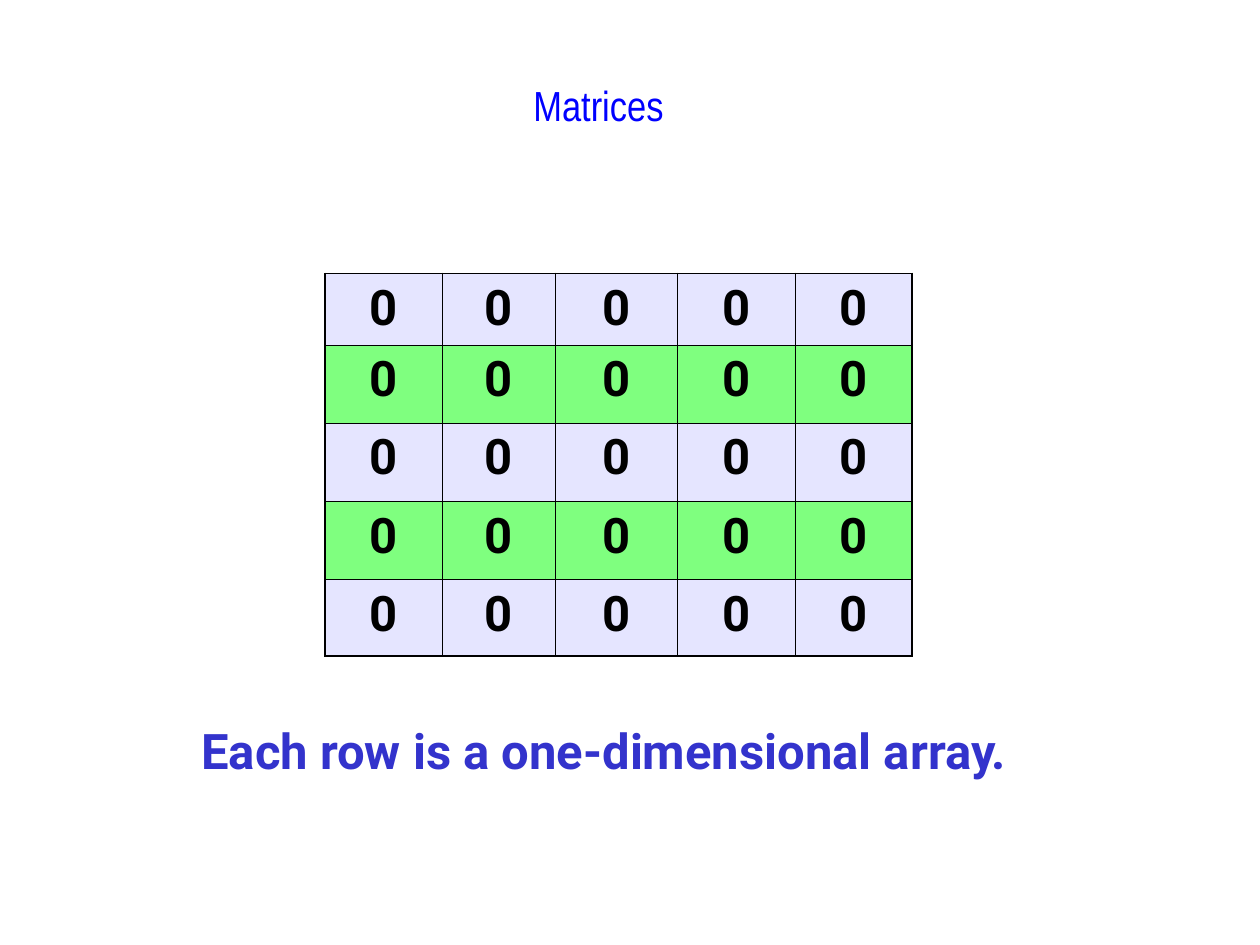
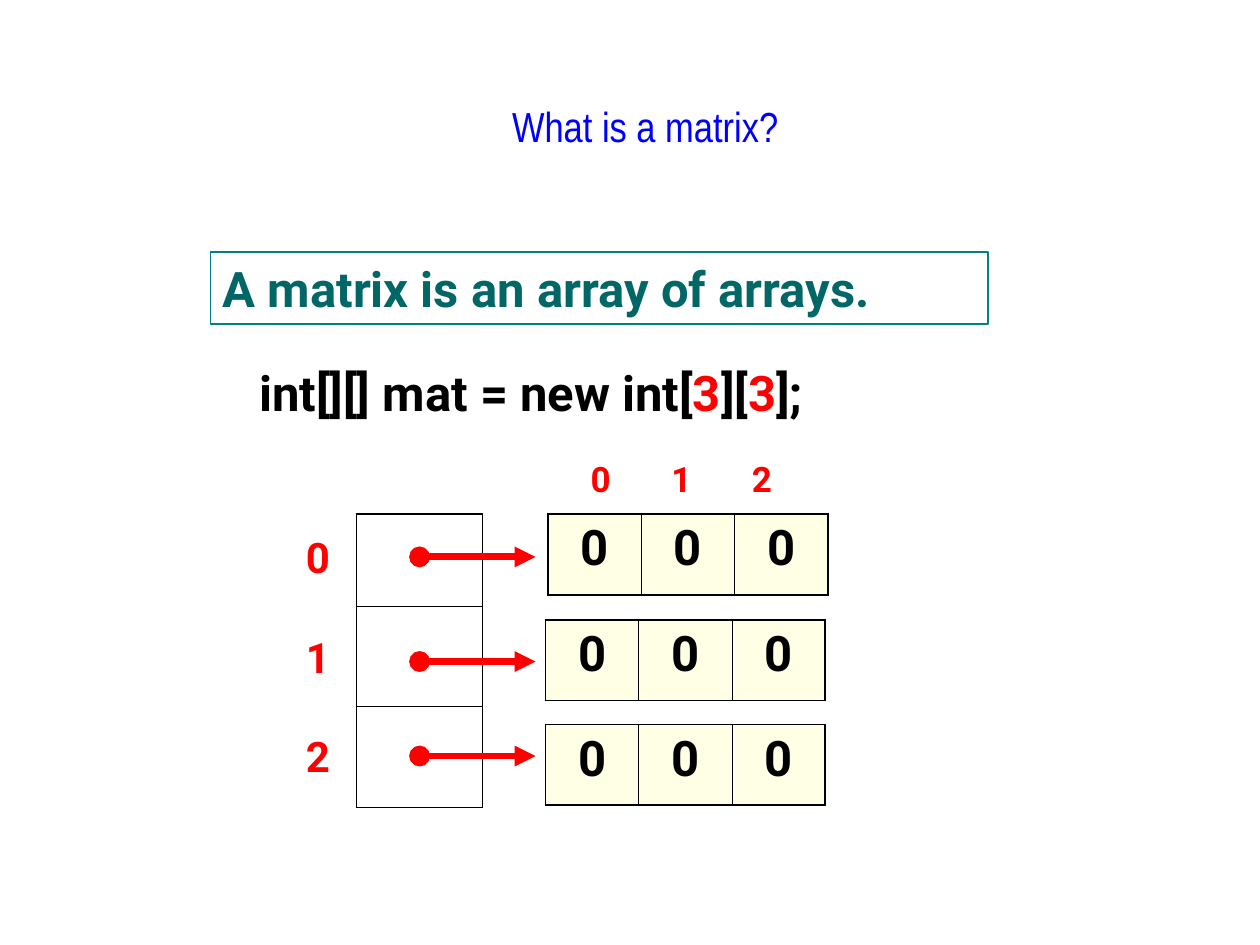
from dataclasses import dataclass

import pptx
import pptx.dml.color
import pptx.enum.shapes
import pptx.enum.text
import pptx.oxml
import pptx.oxml.ns
import pptx.presentation
import pptx.shapes.autoshape
import pptx.slide
import pptx.table
import pptx.util

Inches = pptx.util.Inches
Pt = pptx.util.Pt
ALIGN = pptx.enum.text.PP_ALIGN
A_NS = pptx.oxml.ns.nsdecls("a")

TITLE_FONT = "Arial Narrow"
BODY_FONT = "Roboto"
BLACK = "000000"
RED = "FF0000"
TITLE_BLUE = "0000FF"
NOTE_BLUE = "3333CC"
TEAL = "008080"
DARK_TEAL = "006666"
LAVENDER = "CCCCFF"
GREEN = "00FF00"
CREAM = "FFFFCC"

OUTER_BORDER = 1.08
INNER_BORDER = 0.45


@dataclass(frozen=True)
class Words:
    text: str
    color: str = BLACK
    size: float = 28
    font: str = BODY_FONT
    bold: bool = True


@dataclass(frozen=True)
class Box:
    left: float
    top: float
    width: float
    height: float


@dataclass(frozen=True)
class Grid:
    left: float
    top: float
    columns: tuple[float, ...]
    rows: tuple[float, ...]
    fills: tuple[str, ...] = ()
    value: str = ""


def rgb(color: str) -> pptx.dml.color.RGBColor:
    return pptx.dml.color.RGBColor.from_string(color)


def lengths(box: Box) -> list[int]:
    return [Inches(side) for side in (box.left, box.top, box.width, box.height)]


def add_words(paragraph, words: Words) -> None:
    run = paragraph.add_run()
    run.text = words.text
    run.font.name = words.font
    run.font.size = Pt(words.size)
    run.font.bold = words.bold
    run.font.color.rgb = rgb(words.color)


def write(shape: pptx.shapes.autoshape.Shape, lines: list[list[Words]],
          align: ALIGN = ALIGN.LEFT, gap: float = 0) -> None:
    frame = shape.text_frame
    frame.word_wrap = True
    frame.vertical_anchor = pptx.enum.text.MSO_ANCHOR.TOP
    for index, line in enumerate(lines):
        paragraph = frame.add_paragraph() if index else frame.paragraphs[0]
        paragraph.alignment = align
        if index:
            paragraph.space_before = Pt(gap)
        for words in line:
            add_words(paragraph, words)


def add_text(slide: pptx.slide.Slide, box: Box, lines: list[list[Words]],
             align: ALIGN = ALIGN.LEFT, gap: float = 0) -> pptx.shapes.autoshape.Shape:
    shape = slide.shapes.add_textbox(*lengths(box))
    write(shape, lines, align, gap)
    return shape


def add_titled_slide(deck: pptx.presentation.Presentation, title: str, box: Box) -> pptx.slide.Slide:
    slide = deck.slides.add_slide(deck.slide_layouts[6])
    heading = Words(title, TITLE_BLUE, 24, TITLE_FONT, False)
    add_text(slide, box, [[heading]], ALIGN.CENTER)
    return slide


def set_borders(cell, outer_sides: dict[str, bool]) -> None:
    properties = cell._tc.get_or_add_tcPr()
    for side, outer in outer_sides.items():
        width = Pt(OUTER_BORDER if outer else INNER_BORDER)
        properties.append(pptx.oxml.parse_xml(
            f'<a:ln{side} {A_NS} w="{width}"><a:solidFill>'
            f'<a:srgbClr val="{BLACK}"/></a:solidFill></a:ln{side}>'))


def set_half_clear_fill(cell, color: str) -> None:
    cell.fill.solid()
    cell.fill.fore_color.rgb = rgb(color)
    color_node = cell._tc.tcPr.find(".//" + pptx.oxml.ns.qn("a:solidFill") + "[last()]/..")
    fill = cell._tc.tcPr.findall(pptx.oxml.ns.qn("a:solidFill"))[0]
    fill[0].append(pptx.oxml.parse_xml(f'<a:alpha {A_NS} val="50000"/>'))


def add_grid(slide: pptx.slide.Slide, grid: Grid) -> None:
    box = Box(grid.left, grid.top, sum(grid.columns), sum(grid.rows))
    last_row, last_column = len(grid.rows) - 1, len(grid.columns) - 1
    table = slide.shapes.add_table(last_row + 1, last_column + 1, *lengths(box)).table
    table.first_row = False
    table.horz_banding = False
    for column, width in zip(table.columns, grid.columns):
        column.width = Inches(width)
    for r, height in enumerate(grid.rows):
        table.rows[r].height = Inches(height)
        for c in range(last_column + 1):
            cell = table.cell(r, c)
            set_borders(cell, {"L": c == 0, "R": c == last_column,
                               "T": r == 0, "B": r == last_row})
            if grid.fills:
                set_half_clear_fill(cell, grid.fills[r % len(grid.fills)])
            else:
                cell.fill.background()
            if grid.value:
                paragraph = cell.text_frame.paragraphs[0]
                paragraph.alignment = ALIGN.CENTER
                add_words(paragraph, Words(grid.value))


def add_reference_arrow(slide: pptx.slide.Slide, y: float) -> None:
    arrow = slide.shapes.add_connector(
        pptx.enum.shapes.MSO_CONNECTOR.STRAIGHT,
        Inches(3.33), Inches(y), Inches(4.25), Inches(y))
    arrow.line.color.rgb = rgb(RED)
    arrow.line.width = Pt(4)
    line = arrow.line._get_or_add_ln()
    for end, style in (("headEnd", "oval"), ("tailEnd", "triangle")):
        line.append(pptx.oxml.parse_xml(f'<a:{end} {A_NS} type="{style}"/>'))
    arrow._element.spPr.append(pptx.oxml.parse_xml(f"<a:effectLst {A_NS}/>"))


def add_column_indexes(slide: pptx.slide.Slide) -> None:
    indexes = add_text(slide, Box(4.59, 3.58, 1.8, 0.44), [[Words("0\t1\t2", RED, 20)]])
    properties = indexes.text_frame.paragraphs[0]._p.get_or_add_pPr()
    stops = "".join(f'<a:tab pos="{Inches(0.64 * n)}" algn="l"/>' for n in (1, 2))
    properties.append(pptx.oxml.parse_xml(f"<a:tabLst {A_NS}>{stops}</a:tabLst>"))


def build_matrices(deck: pptx.presentation.Presentation) -> None:
    slide = add_titled_slide(deck, "Matrices", Box(1.75, 0.58, 6, 1.08))
    add_grid(slide, Grid(2.58, 2.17, (0.93, 0.9, 0.97, 0.93, 0.93),
                         (0.57, 0.62, 0.62, 0.62, 0.61), (LAVENDER, GREEN), "0"))
    add_text(slide, Box(1.5, 5.67, 7.83, 0.57),
             [[Words("Each row is a one-dimensional array.", NOTE_BLUE)]])


def build_definition(deck: pptx.presentation.Presentation) -> None:
    slide = add_titled_slide(deck, "What is a matrix?", Box(1.33, 0.75, 7.58, 1))
    definition = slide.shapes.add_shape(
        pptx.enum.shapes.MSO_SHAPE.RECTANGLE, *lengths(Box(1.67, 2, 6.17, 0.57)))
    definition.shadow.inherit = False
    definition.fill.background()
    definition.line.color.rgb = rgb(TEAL)
    definition.line.width = Pt(1)
    write(definition, [[Words("A matrix is an array of arrays.", DARK_TEAL)]])

    add_text(slide, Box(1.96, 2.83, 5.09, 0.57), [[
        Words("int[][] mat = new int["), Words("3", RED), Words("]["),
        Words("3", RED), Words("];")]])
    add_column_indexes(slide)
    for left, top in ((4.35, 4.08), (4.33, 4.92), (4.33, 5.75)):
        add_grid(slide, Grid(left, top, (0.74,) * 3, (0.64,), (CREAM,), "0"))
    add_grid(slide, Grid(2.83, 4.08, (1,), (0.73, 0.8, 0.8)))
    for y in (4.42, 5.25, 6):
        add_reference_arrow(slide, y)
    add_text(slide, Box(2.33, 4.17, 0.5, 2.1),
             [[Words(index, RED, 24)] for index in "012"], gap=28)


def main() -> None:
    deck = pptx.Presentation()
    deck.slide_width = Inches(10)
    deck.slide_height = Inches(7.5)
    build_matrices(deck)
    build_definition(deck)
    deck.save("out.pptx")


if __name__ == "__main__":
    main()
